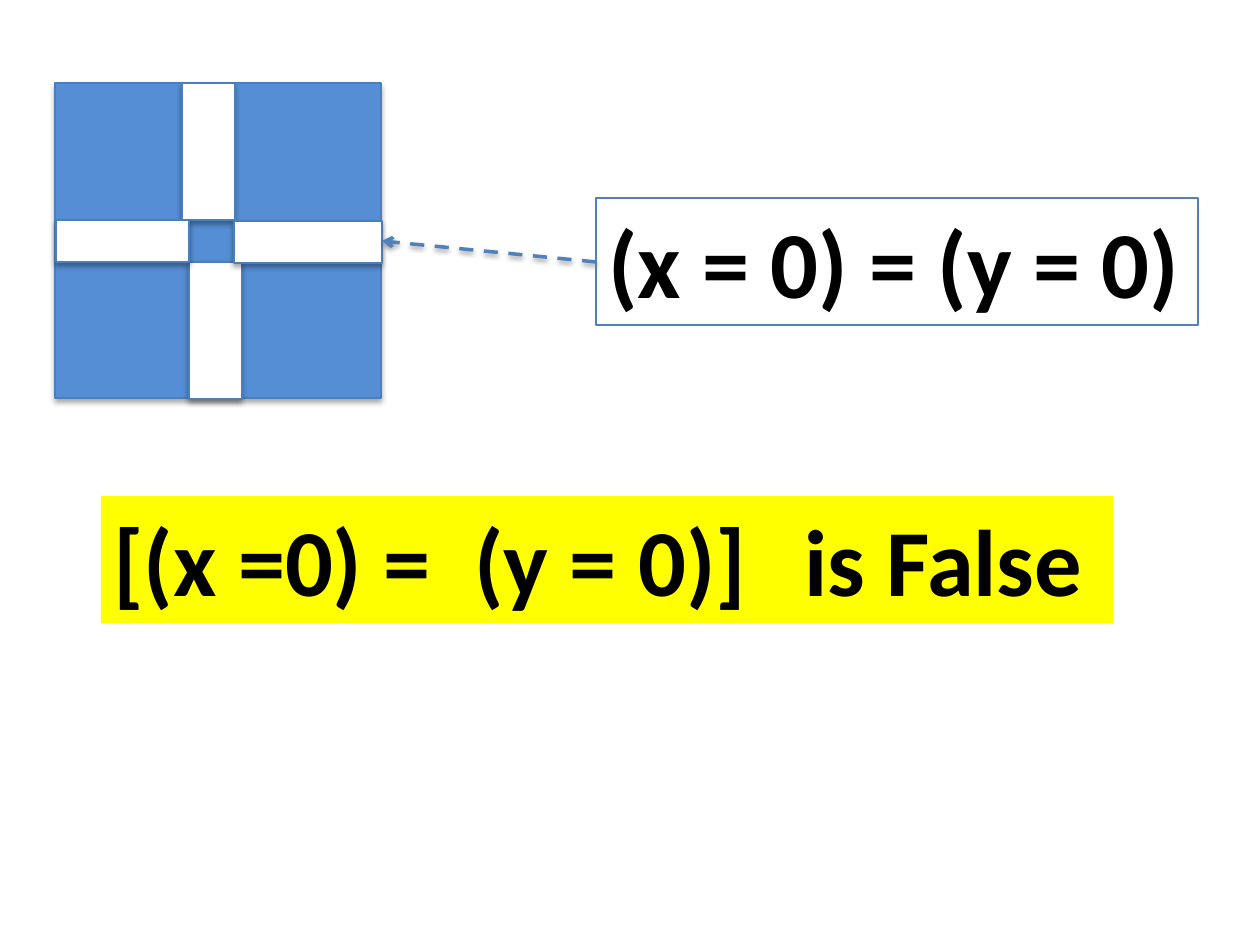
"""Build a slide of a square cut by four bars, with its logical condition."""
from lxml.etree import SubElement
from pptx import Presentation
from pptx.dml.color import RGBColor
from pptx.enum.dml import MSO_LINE
from pptx.enum.shapes import MSO_CONNECTOR, MSO_SHAPE
from pptx.enum.text import MSO_ANCHOR, PP_ALIGN
from pptx.oxml.ns import qn
from pptx.util import Pt

PX = 914400 // 126
COLORS = {
    "square": "558ED5", "bar": "FFFFFF", "edge": "4B7EBC",
    "accent": "4F81BD", "highlight": "FFFF00", "text": "000000",
}
rgb = {part: RGBColor.from_string(value) for part, value in COLORS.items()}


def add_shadow(part, opacity, distance):
    properties = part._element.spPr
    effects = properties.find(qn("a:effectLst"))
    if effects is None:
        effects = SubElement(properties, qn("a:effectLst"))
    shadow = SubElement(effects, qn("a:outerShdw"), blurRad=str(Pt(3.1)),
                        dist=str(Pt(distance)), dir="5400000", rotWithShape="0")
    color = SubElement(shadow, qn("a:srgbClr"), val="000000")
    SubElement(color, qn("a:alpha"), val=str(opacity * 1000))


def add_box(bounds, fill, edge):
    box = slide.shapes.add_shape(MSO_SHAPE.RECTANGLE, *(n * PX for n in bounds))
    if fill:
        box.fill.solid()
        box.fill.fore_color.rgb = rgb[fill]
    else:
        box.fill.background()
    if edge:
        box.line.color.rgb = rgb[edge]
        box.line.width = Pt(0.75)
    else:
        box.line.fill.background()
    box.shadow.inherit = False
    return box


deck = Presentation()
deck.slide_width, deck.slide_height = 1260 * PX, 945 * PX
slide = deck.slides.add_slide(deck.slide_layouts[6])

pieces = [
    ((55, 83, 326, 315), "square"),
    ((182, 83, 53, 137), "bar"),
    ((189, 262, 53, 137), "bar"),
    ((56, 220, 133, 42), "bar"),
    ((234, 221, 148, 42), "bar"),
]
for bounds, fill in pieces:
    add_shadow(add_box(bounds, fill, "edge"), 35, 1.8)

pointer = slide.shapes.add_connector(
    MSO_CONNECTOR.STRAIGHT, 596 * PX, 262 * PX, 382 * PX, 241 * PX)
pointer.line.color.rgb = rgb["accent"]
pointer.line.width = Pt(2)
pointer.line.dash_style = MSO_LINE.DASH
SubElement(pointer.line._get_or_add_ln(), qn("a:tailEnd"), type="arrow")
add_shadow(pointer, 38, 1.6)

statements = [
    ((596, 198, 602, 127), None, "accent", "(x = 0) = (y = 0)", []),
    ((101, 496, 1012, 127), "highlight", None,
     "[(x =0) =\t(y = 0)]\tis False", [361, 691]),
]
font_format = {"name": "Calibri", "size": Pt(54), "bold": True}
for bounds, fill, edge, wording, stops in statements:
    frame = add_box(bounds, fill, edge).text_frame
    frame.word_wrap = True
    frame.vertical_anchor = MSO_ANCHOR.TOP
    paragraph = frame.paragraphs[0]
    paragraph.alignment = PP_ALIGN.LEFT
    if stops:
        tabs = SubElement(paragraph._p.get_or_add_pPr(), qn("a:tabLst"))
        for stop in stops:
            SubElement(tabs, qn("a:tab"), pos=str(stop * PX), algn="l")
    run = paragraph.add_run()
    run.text = wording
    for key, value in font_format.items():
        setattr(run.font, key, value)
    run.font.color.rgb = rgb["text"]

deck.save("out.pptx")
